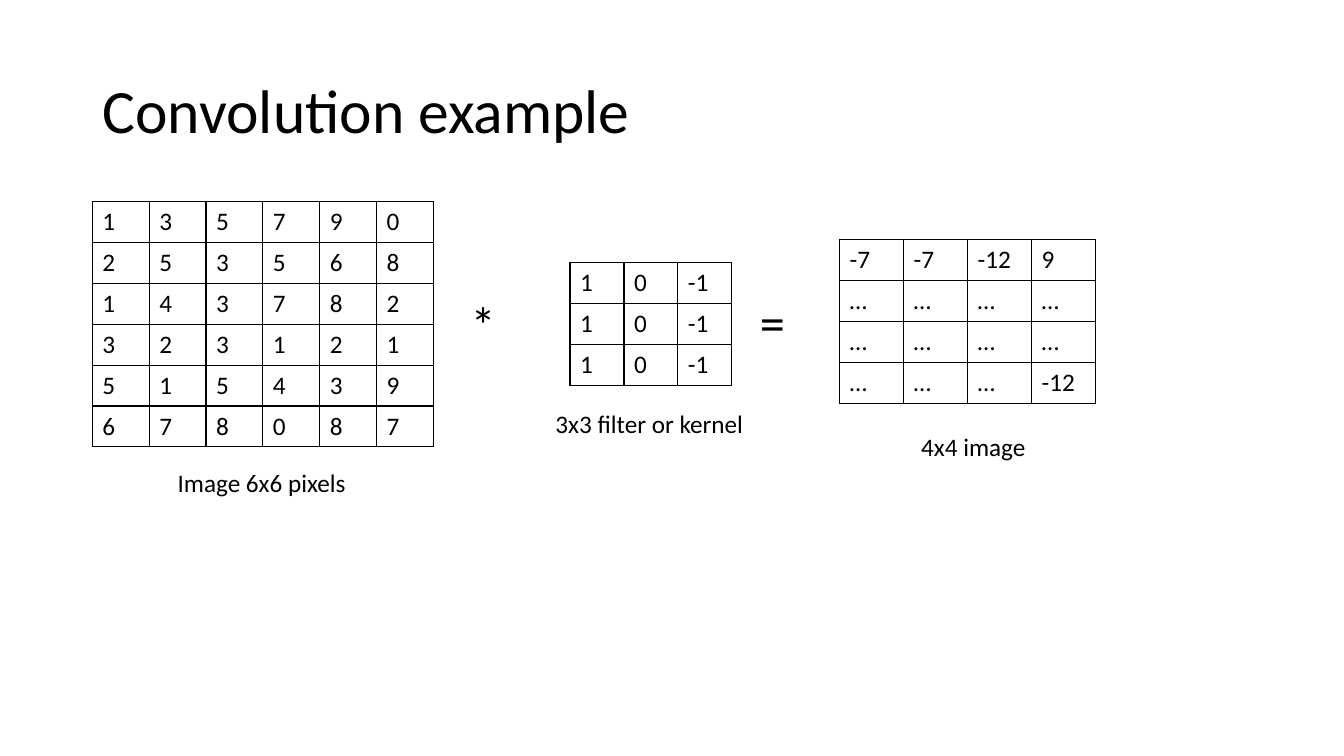
from dataclasses import dataclass

from lxml import etree
from pptx import Presentation, util as u
from pptx.dml.color import RGBColor
from pptx.enum import text
from pptx.oxml import ns

Pt = u.Pt


@dataclass(frozen=True)
class Theme:
    font: str = "Calibri"
    ink: str = "000000"
    title: float = 44
    operator: float = 36
    body: float = 18
    border: float = 1
    row_height: float = 29.2


THEME = Theme()

IMAGE = ["1 3 5 7 9 0", "2 5 3 5 6 8", "1 4 3 7 8 2",
         "3 2 3 1 2 1", "5 1 5 4 3 9", "6 7 8 0 8 7"]
KERNEL = ["1 0 -1"] * 3
RESULT = ["-7 -7 -12 9", "… … … …", "… … … …", "… … … -12"]


def format_text(text_frame, size):
    for paragraph in text_frame.paragraphs:
        for run in paragraph.runs:
            run.font.name = THEME.font
            run.font.size = Pt(size)
            run.font.color.rgb = RGBColor.from_string(THEME.ink)


def add_borders(cell):
    properties = cell._tc.get_or_add_tcPr()
    for side in ("a:lnL", "a:lnR", "a:lnT", "a:lnB"):
        line = etree.SubElement(properties, ns.qn(side), w=str(Pt(THEME.border)))
        fill = etree.SubElement(line, ns.qn("a:solidFill"))
        etree.SubElement(fill, ns.qn("a:srgbClr"), val=THEME.ink)


def add_title(slide, wording, left, top, width, height):
    title = slide.shapes.title
    title.left, title.top, title.width, title.height = map(Pt, (left, top, width, height))
    frame = title.text_frame
    frame.text = wording
    frame.vertical_anchor = text.MSO_ANCHOR.MIDDLE
    paragraph = frame.paragraphs[0]
    paragraph.alignment = text.PP_ALIGN.LEFT
    paragraph.line_spacing = 0.9
    format_text(frame, THEME.title)


def add_label(slide, wording, size, left, top, width, height):
    box = slide.shapes.add_textbox(Pt(left), Pt(top), Pt(width), Pt(height))
    frame = box.text_frame
    frame.text = wording
    frame.word_wrap = False
    frame.auto_size = text.MSO_AUTO_SIZE.SHAPE_TO_FIT_TEXT
    format_text(frame, size)


def add_matrix(slide, lines, caption, left, top, width,
               caption_width, caption_gap, caption_shift=0):
    """Draw a bordered grid of values with its caption centred below."""
    values = [line.split() for line in lines]
    height = THEME.row_height * len(values)
    columns = len(values[0])
    table = slide.shapes.add_table(len(values), columns, Pt(left), Pt(top),
                                   Pt(width), Pt(height)).table
    table.first_row = table.horz_banding = False
    for column in table.columns:
        column.width = Pt(width / columns)
    for row, row_values in zip(table.rows, values):
        row.height = Pt(THEME.row_height)
        for cell, value in zip(row.cells, row_values):
            cell.text_frame.text = value
            format_text(cell.text_frame, THEME.body)
            add_borders(cell)
            cell.fill.background()

    caption_left = left + (width - caption_width) / 2 + caption_shift
    add_label(slide, caption, THEME.body, caption_left,
              top + height + caption_gap, caption_width, 29)


def build_convolution_slide(presentation):
    slide = presentation.slides.add_slide(presentation.slide_layouts[5])
    add_title(slide, "Convolution example", 66, 28.8, 828, 104.4)

    # Input image
    add_matrix(slide, IMAGE, "Image 6x6 pixels", 66, 144, 243.6, 136, 10.8)

    # Filter, between its two operators
    add_label(slide, "*", THEME.operator, 329, 206, 32.4, 51)
    add_matrix(slide, KERNEL, "3x3 filter or kernel", 407.2, 187.5, 115.4, 150.5, 13)
    add_label(slide, "=", THEME.operator, 535.7, 204.5, 32.4, 51)

    # Output image
    add_matrix(slide, RESULT, "4x4 image", 599.7, 171.3, 183, 90, 16.5, 4.7)


def main():
    presentation = Presentation()
    presentation.slide_width = Pt(960)
    presentation.slide_height = Pt(540)
    build_convolution_slide(presentation)
    presentation.save("out.pptx")


if __name__ == "__main__":
    main()
